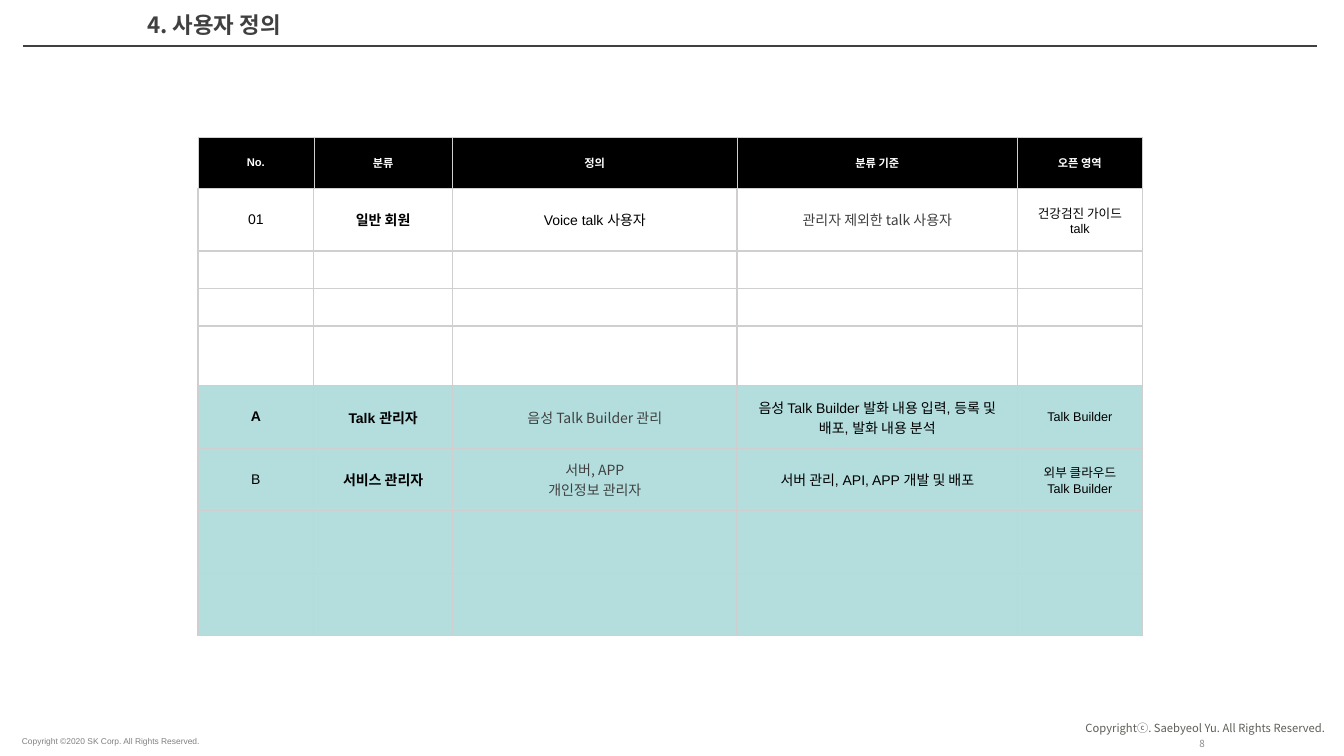
from dataclasses import dataclass, field

from lxml import etree
from pptx import Presentation
from pptx.dml.color import RGBColor
from pptx.enum.shapes import MSO_CONNECTOR
from pptx.enum.text import MSO_ANCHOR, MSO_AUTO_SIZE, PP_ALIGN
from pptx.oxml.ns import qn
from pptx.util import Pt

LEFT, CENTER, RIGHT = PP_ALIGN.LEFT, PP_ALIGN.CENTER, PP_ALIGN.RIGHT
TOP, MIDDLE = MSO_ANCHOR.TOP, MSO_ANCHOR.MIDDLE
FIXED = MSO_AUTO_SIZE.NONE
STRAIGHT = MSO_CONNECTOR.STRAIGHT
TITLE_ONLY = 5


@dataclass(frozen=True)
class Theme:
    latin: str = "Arial"
    korean: str = "Noto Sans CJK KR"
    black: str = "000000"
    white: str = "FFFFFF"
    dark: str = "404040"
    warm_gray: str = "5F5E58"
    gray: str = "808080"
    light_gray: str = "8C8C8C"
    grid: str = "D0CECE"
    teal: str = "B4DEDE"
    title_size: float = 16
    body_size: float = 10
    area_size: float = 9
    header_size: float = 8
    number_size: float = 7
    legal_size: float = 6


THEME = Theme()


@dataclass(frozen=True)
class Style:
    size: float = THEME.body_size
    face: str = THEME.latin
    color: str = THEME.black
    bold: bool = False


@dataclass(frozen=True)
class Label:
    text: str
    left: float
    top: float
    width: float
    height: float
    style: Style
    align: PP_ALIGN = LEFT
    anchor: MSO_ANCHOR = TOP
    wrap: bool = True


@dataclass(frozen=True)
class Entry:
    text: str = ""
    style: Style = field(default_factory=Style)


@dataclass(frozen=True)
class Row:
    height: float
    fill: str
    entries: tuple[Entry, ...]
    edge: float = 1


STRONG = Style(bold=True)
SOFT = Style(face=THEME.korean, color=THEME.dark)
AREA = Style(size=THEME.area_size)
HEADER = Style(size=THEME.header_size, color=THEME.white, bold=True)
TITLE = Style(THEME.title_size, THEME.korean, THEME.dark, True)

HEADING = Label("4. 사용자 정의", 98, 4.3, 494.6, 26.6, TITLE)
FOOTERS = (
    Label("Copyrightⓒ. Saebyeol Yu. All Rights Reserved.", 764.6, 511.9, 189.4, 17.3,
          Style(THEME.header_size, THEME.korean, THEME.warm_gray), RIGHT, wrap=False),
    Label("Copyright ©2020 SK Corp. All Rights Reserved.", 8.6, 522, 143.3, 14.4,
          Style(THEME.legal_size, color=THEME.gray), wrap=False),
    Label("8", 691.9, 517, 175.7, 28.8,
          Style(THEME.number_size, THEME.korean, THEME.light_gray), RIGHT, MIDDLE),
)

COLUMN_WIDTHS = (82.7, 99.2, 203.2, 200.4, 89)
BLANK = (Entry(),) * len(COLUMN_WIDTHS)
HEADERS = ("No.", "분류", "정의", "분류 기준", "오픈 영역")
ROWS = (
    Row(36.5, THEME.black, tuple(Entry(name, HEADER) for name in HEADERS), 0.25),
    Row(44.6, THEME.white, (
        Entry("01"), Entry("일반 회원", STRONG), Entry("Voice talk 사용자"),
        Entry("관리자 제외한 talk 사용자", SOFT), Entry("건강검진 가이드 talk", AREA))),
    Row(26.8, THEME.white, BLANK),
    Row(26.8, THEME.white, BLANK),
    Row(42.8, THEME.white, BLANK),
    Row(44.6, THEME.teal, (
        Entry("A", STRONG), Entry("Talk 관리자", STRONG), Entry("음성 Talk Builder 관리", SOFT),
        Entry("음성 Talk Builder 발화 내용 입력, 등록 및 배포, 발화 내용 분석"),
        Entry("Talk Builder", AREA))),
    Row(44.6, THEME.teal, (
        Entry("B"), Entry("서비스 관리자", STRONG), Entry("서버, APP\n개인정보 관리자", SOFT),
        Entry("서버 관리, API, APP 개발 및 배포"),
        Entry("외부 클라우드\nTalk Builder", AREA))),
    Row(44.6, THEME.teal, BLANK),
    Row(44.6, THEME.teal, BLANK),
)


def write(frame, text: str, style: Style, align: PP_ALIGN) -> None:
    frame.text = text
    formats = {"size": Pt(style.size), "name": style.face, "bold": style.bold}
    for paragraph in frame.paragraphs:
        paragraph.alignment = align
        for run in paragraph.runs:
            for name, value in formats.items():
                setattr(run.font, name, value)
            run.font.color.rgb = RGBColor.from_string(style.color)
            east_asian = etree.Element(qn("a:ea"), typeface=THEME.korean)
            run.font._element.find(qn("a:latin")).addnext(east_asian)
        if not paragraph.runs:
            etree.SubElement(paragraph._p, qn("a:endParaRPr"), sz=str(int(style.size * 100)))


def place(box, label: Label) -> None:
    for name in ("left", "top", "width", "height"):
        setattr(box, name, Pt(getattr(label, name)))
    frame = box.text_frame
    formats = {"word_wrap": label.wrap, "auto_size": FIXED, "vertical_anchor": label.anchor}
    for name, value in formats.items():
        setattr(frame, name, value)
    write(frame, label.text, label.style, label.align)


def draw_label(slide, label: Label) -> None:
    place(slide.shapes.add_textbox(0, 0, 0, 0), label)


def draw_rule(slide) -> None:
    rule = slide.shapes.add_connector(STRAIGHT, Pt(16.6), Pt(33), Pt(940.4), Pt(33))
    rule.line.color.rgb = RGBColor.from_string(THEME.dark)
    rule.line.width = Pt(1.5)
    etree.SubElement(rule._element.spPr, qn("a:effectLst"))


def set_borders(cell, edge: float) -> None:
    properties = cell._tc.get_or_add_tcPr()
    widths = {"a:lnL": edge, "a:lnR": edge, "a:lnT": edge, "a:lnB": 1}
    for position, (side, width) in enumerate(widths.items()):
        border = etree.Element(qn(side), w=str(int(Pt(width))))
        fill = etree.SubElement(border, qn("a:solidFill"))
        etree.SubElement(fill, qn("a:srgbClr"), val=THEME.grid)
        properties.insert(position, border)


def draw_user_table(slide) -> None:
    total_height = sum(row.height for row in ROWS)
    users = slide.shapes.add_table(
        len(ROWS), len(COLUMN_WIDTHS), Pt(141.4), Pt(98.2),
        Pt(sum(COLUMN_WIDTHS)), Pt(total_height)).table
    for column, width in zip(users.columns, COLUMN_WIDTHS):
        column.width = Pt(width)
    for table_row, row in zip(users.rows, ROWS):
        table_row.height = Pt(row.height)
        for cell, entry in zip(table_row.cells, row.entries):
            cell.fill.solid()
            cell.fill.fore_color.rgb = RGBColor.from_string(row.fill)
            cell.vertical_anchor = MIDDLE
            write(cell.text_frame, entry.text, entry.style, CENTER)
            set_borders(cell, row.edge)


def main() -> None:
    deck = Presentation()
    deck.slide_width, deck.slide_height = Pt(960), Pt(540)
    slide = deck.slides.add_slide(deck.slide_layouts[TITLE_ONLY])
    place(slide.shapes.title, HEADING)
    draw_rule(slide)
    for footer in FOOTERS:
        draw_label(slide, footer)
    draw_user_table(slide)
    deck.save("out.pptx")


if __name__ == "__main__":
    main()
